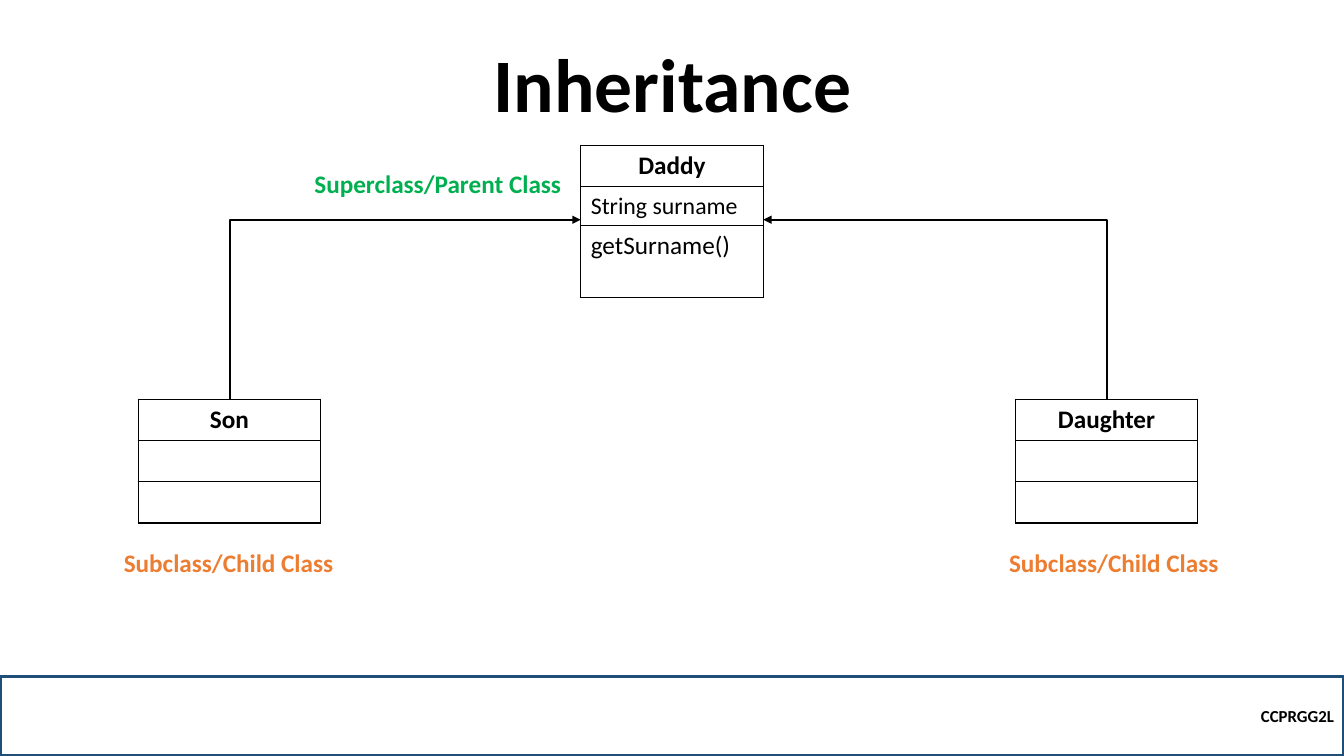
from pptx import Presentation
from pptx.dml.color import RGBColor
from pptx.enum.shapes import MSO_CONNECTOR, MSO_SHAPE
from pptx.enum.text import MSO_ANCHOR, MSO_AUTO_SIZE, PP_ALIGN
from pptx.oxml.ns import qn
from pptx.util import Inches, Pt
from lxml import etree

ELBOW = MSO_CONNECTOR.ELBOW
RECTANGLE = MSO_SHAPE.RECTANGLE
BOTTOM, MIDDLE = MSO_ANCHOR.BOTTOM, MSO_ANCHOR.MIDDLE
FIT_TEXT = MSO_AUTO_SIZE.SHAPE_TO_FIT_TEXT
LEFT, CENTER, RIGHT = PP_ALIGN.LEFT, PP_ALIGN.CENTER, PP_ALIGN.RIGHT

BLACK = RGBColor(0x00, 0x00, 0x00)
NAVY = RGBColor(0x1F, 0x4E, 0x79)
GREEN = RGBColor(0x00, 0xB0, 0x50)
ORANGE = RGBColor(0xED, 0x7D, 0x31)

CLASS_WIDTH = 1.81


def write(frame, text, size, bold=True, color=BLACK, align=LEFT):
    paragraph = frame.paragraphs[0]
    paragraph.text = text
    paragraph.alignment = align
    font_format = {"name": "Calibri", "size": Pt(size), "bold": bold}
    for attribute, value in font_format.items():
        setattr(paragraph.font, attribute, value)
    paragraph.font.color.rgb = color
    return paragraph


def add_border(cell):
    properties = cell._tc.get_or_add_tcPr()
    for side in ("a:lnL", "a:lnR", "a:lnT", "a:lnB"):
        edge = etree.SubElement(properties, qn(side), w=str(Pt(1)))
        fill = etree.SubElement(edge, qn("a:solidFill"))
        etree.SubElement(fill, qn("a:srgbClr"), val=str(BLACK))


prs = Presentation()
prs.slide_width, prs.slide_height = Inches(13.33), Inches(7.5)
slide = prs.slides.add_slide(prs.slide_layouts[6])
shapes = slide.shapes

# Title
title = shapes.add_textbox(Inches(1.67), Inches(0.54), Inches(10), Inches(0.79))
title.text_frame.word_wrap = True
title.text_frame.vertical_anchor = BOTTOM
write(title.text_frame, "Inheritance", 54, align=CENTER).line_spacing = 0.9

# Course code footer
footer = shapes.add_shape(RECTANGLE, 0, Inches(6.71), Inches(13.33), Inches(0.79))
footer.shadow.inherit = False
footer.fill.background()
footer.line.color.rgb = NAVY
footer.line.width = Pt(2.25)
footer.text_frame.vertical_anchor = MIDDLE
write(footer.text_frame, "CCPRGG2L", 12, align=RIGHT)

# Class diagrams: left, top, row heights, (name, attribute, method)
classes = [
    (5.76, 1.44, (0.41, 0.39, 0.71), ("Daddy", "String surname", "getSurname()")),
    (1.37, 3.96, (0.41, 0.41, 0.41), ("Son", "", "")),
    (10.07, 3.96, (0.41, 0.41, 0.41), ("Daughter", "", "")),
]
for left, top, heights, members in classes:
    class_table = shapes.add_table(3, 1, Inches(left), Inches(top),
                                   Inches(CLASS_WIDTH), Inches(sum(heights))).table
    class_table.first_row = False
    class_table.horz_banding = False
    for row, (height, member) in enumerate(zip(heights, members)):
        class_table.rows[row].height = Inches(height)
        cell = class_table.cell(row, 0)
        add_border(cell)
        cell.fill.background()
        is_name = row == 0
        write(cell.text_frame, member, 17 if member == "String surname" else 18,
              bold=is_name, align=CENTER if is_name else LEFT)

# Inheritance arrows, pointing from each child up to the parent's side
for parent_side, child_center in ((5.76, 2.28), (5.76 + CLASS_WIDTH, 10.98)):
    arrow = shapes.add_connector(ELBOW, Inches(parent_side), Inches(2.18),
                                 Inches(child_center), Inches(3.96))
    arrow.line.color.rgb = BLACK
    arrow.line.width = Pt(1.5)
    properties = arrow._element.spPr
    properties.find(qn("a:prstGeom")).set("prst", "bentConnector2")
    etree.SubElement(arrow.line._get_or_add_ln(), qn("a:headEnd"), type="triangle")
    etree.SubElement(properties, qn("a:effectLst"))

# Role labels
roles = [
    (1.13, 5.38, 2.29, "Subclass/Child Class", ORANGE),
    (3.02, 1.62, 2.67, "Superclass/Parent Class", GREEN),
    (9.91, 5.38, 2.29, "Subclass/Child Class", ORANGE),
]
for left, top, width, role, color in roles:
    label = shapes.add_textbox(Inches(left), Inches(top), Inches(width), Inches(0.4))
    label.text_frame.word_wrap = False
    label.text_frame.auto_size = FIT_TEXT
    write(label.text_frame, role, 18, color=color)

prs.save("out.pptx")
